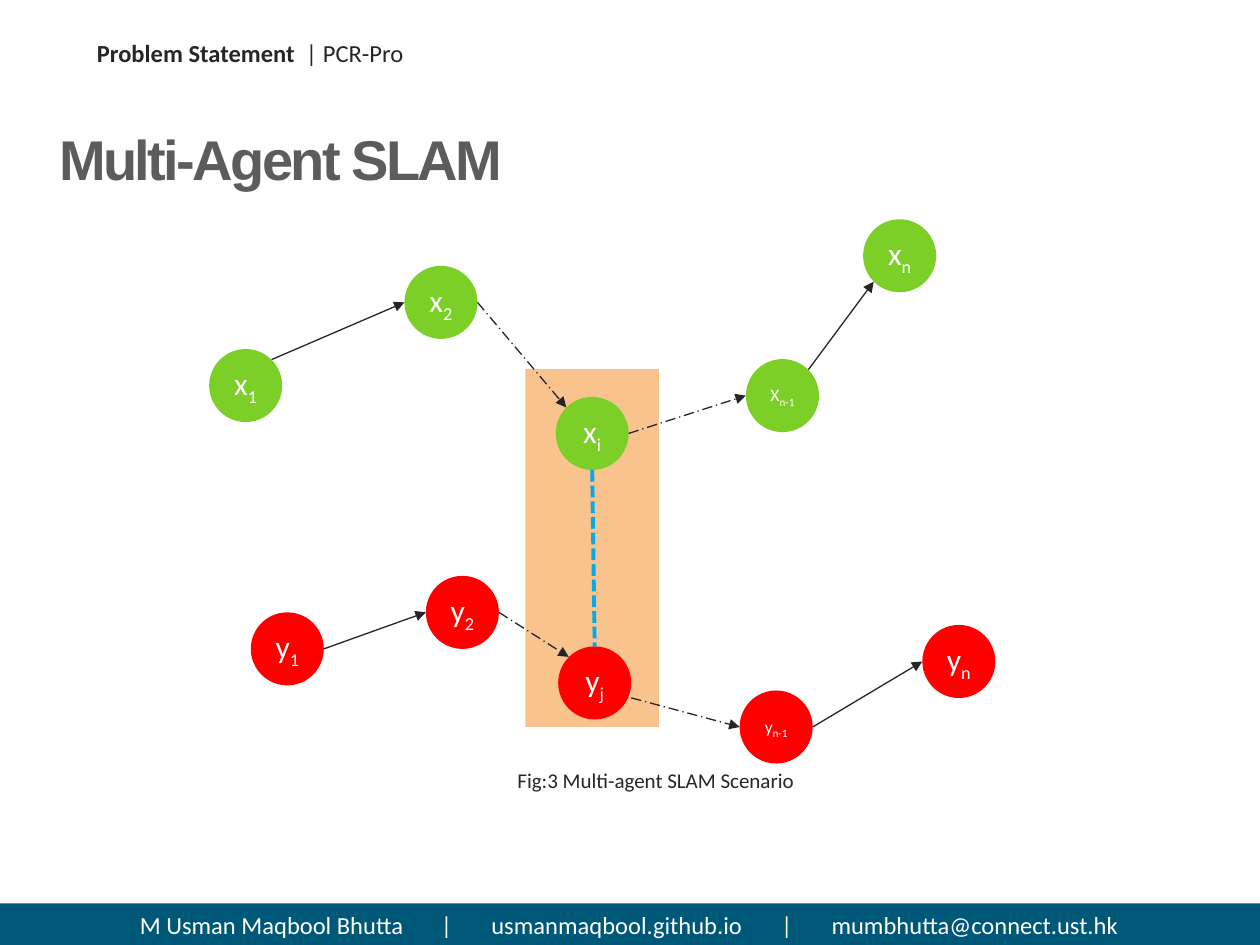
from lxml import etree
from pptx import Presentation
from pptx.dml.color import RGBColor
from pptx.enum.dml import MSO_LINE
from pptx.enum.shapes import MSO_CONNECTOR, MSO_SHAPE
from pptx.enum.text import MSO_ANCHOR, PP_ALIGN
from pptx.oxml.ns import qn
from pptx.util import Inches, Pt

WHITE = RGBColor(0xFF, 0xFF, 0xFF)
GRAY = RGBColor(0x5C, 0x5C, 0x5C)
DARK = RGBColor(0x26, 0x26, 0x26)
ARROW = RGBColor(0x25, 0x25, 0x25)
TEAL = RGBColor(0x00, 0x58, 0x78)
GREEN = RGBColor(0x7B, 0xCF, 0x27)
RED = RGBColor(0xFF, 0x00, 0x00)
ORANGE = RGBColor(0xF4, 0x89, 0x1E)
BLUE = RGBColor(0x00, 0xAC, 0xEB)

NODE = 0.58
DIAGONAL = 0.71

# Poses of each agent: letter, subscript, left, top
GREEN_POSES = [("x", "1", 1.66, 2.77), ("x", "2", 3.21, 2.11),
               ("x", "i", 4.41, 3.15), ("X", "n-1", 5.92, 2.85),
               ("x", "n", 6.85, 1.74)]
RED_POSES = [("y", "1", 1.99, 4.86), ("y", "2", 3.38, 4.57),
             ("y", "j", 4.43, 5.13), ("y", "n-1", 5.87, 5.48),
             ("y", "n", 7.32, 4.96)]

# Points on a node's rim, in radii from its centre
TOP, BOTTOM, LEFT, RIGHT = (0, -1), (0, 1), (-1, 0), (1, 0)
TOP_LEFT, TOP_RIGHT = (-DIAGONAL, -DIAGONAL), (DIAGONAL, -DIAGONAL)
BOTTOM_LEFT = (-DIAGONAL, DIAGONAL)
LOW_RIGHT = (1, 0.41)

# Start and end rim point of each step along a trajectory
GREEN_STEPS = [(TOP_RIGHT, LEFT), (RIGHT, TOP_LEFT),
               (RIGHT, LEFT), (TOP_RIGHT, BOTTOM_LEFT)]
RED_STEPS = [(RIGHT, LEFT), (RIGHT, TOP_LEFT),
             (LOW_RIGHT, LEFT), (RIGHT, LEFT)]


def style_run(r, size, color, bold=False, name="Calibri"):
    r.font.name = name
    r.font.size = Pt(size)
    r.font.bold = bold
    r.font.color.rgb = color


def add_filled(slide, shape_type, x, y, w, h, color):
    sp = slide.shapes.add_shape(shape_type, Inches(x), Inches(y),
                                Inches(w), Inches(h))
    sp.shadow.inherit = False
    sp.fill.solid()
    sp.fill.fore_color.rgb = color
    sp.line.fill.background()
    return sp


def add_text(slide, x, y, w, h, parts, size, align=PP_ALIGN.LEFT, wrap=True):
    box = slide.shapes.add_textbox(Inches(x), Inches(y), Inches(w), Inches(h))
    tf = box.text_frame
    tf.word_wrap = wrap
    p = tf.paragraphs[0]
    p.alignment = align
    for text, bold in parts:
        r = p.add_run()
        r.text = text
        style_run(r, size, DARK, bold)


def add_title(slide, text):
    title = slide.shapes.title
    title.left, title.top = Inches(0.37), Inches(0.59)
    title.width, title.height = Inches(9.09), Inches(0.93)
    tf = title.text_frame
    tf.text = text
    tf.vertical_anchor = MSO_ANCHOR.BOTTOM
    tf.margin_top = tf.margin_bottom = 0
    p = tf.paragraphs[0]
    p.alignment = PP_ALIGN.LEFT
    r = p.runs[0]
    style_run(r, 32, GRAY, True, "Arial")
    r.font._element.set("spc", "-150")


def add_highlight(slide):
    sp = add_filled(slide, MSO_SHAPE.RECTANGLE, 4.17, 2.93, 1.06, 2.84, ORANGE)
    color = sp.fill._xPr.find(qn("a:solidFill"))[0]
    etree.SubElement(color, qn("a:alpha")).set("val", "50000")


def add_footer(slide, parts):
    sp = add_filled(slide, MSO_SHAPE.RECTANGLE, 0, 7.17, 10, 0.34, TEAL)
    tf = sp.text_frame
    tf.margin_left = Inches(1.11)
    tf.vertical_anchor = MSO_ANCHOR.MIDDLE
    p = tf.paragraphs[0]
    p.text = "\t|\t".join(parts)
    p.alignment = PP_ALIGN.LEFT
    tabs = etree.SubElement(p._p.get_or_add_pPr(), qn("a:tabLst"))
    for position in (2.39, 2.79, 5.09, 5.49):
        tab = etree.SubElement(tabs, qn("a:tab"))
        tab.set("pos", str(Inches(position)))
        tab.set("algn", "l")
    for r in p.runs:
        style_run(r, 14, WHITE)


def add_node(slide, letter, subscript, x, y, color):
    sp = add_filled(slide, MSO_SHAPE.OVAL, x, y, NODE, NODE, color)
    tf = sp.text_frame
    tf.word_wrap = False
    tf.vertical_anchor = MSO_ANCHOR.MIDDLE
    p = tf.paragraphs[0]
    p.alignment = PP_ALIGN.CENTER
    sizes = (10, 11) if len(subscript) > 1 else (18, 18)
    for text, size in zip((letter, subscript), sizes):
        r = p.add_run()
        r.text = text
        style_run(r, size, WHITE)
    r.font._element.set("baseline", "-25000")


def rim_point(pose, direction):
    radius = NODE / 2
    return [Inches(corner + radius + radius * d)
            for corner, d in zip(pose[2:], direction)]


def add_link(slide, start, end, color, width, dash=None, arrow=True):
    line = slide.shapes.add_connector(MSO_CONNECTOR.STRAIGHT, *start, *end)
    line.line.color.rgb = color
    line.line.width = Pt(width)
    if dash:
        line.line.dash_style = dash
    if arrow:
        ln = line.line._get_or_add_ln()
        etree.SubElement(ln, qn("a:tailEnd")).set("type", "triangle")
    etree.SubElement(line._element.spPr, qn("a:effectLst"))


def add_trajectory(slide, poses, steps, color):
    for pose in poses:
        add_node(slide, *pose, color)
    # The two middle steps stand for omitted poses
    for i, (leave, arrive) in enumerate(steps):
        dash = MSO_LINE.LONG_DASH_DOT if i in (1, 2) else None
        add_link(slide, rim_point(poses[i], leave),
                 rim_point(poses[i + 1], arrive), ARROW, 0.75, dash)


def main():
    prs = Presentation()
    prs.slide_width, prs.slide_height = Inches(10), Inches(7.5)
    slide = prs.slides.add_slide(prs.slide_layouts[5])

    # Heading and footer
    add_highlight(slide)
    add_title(slide, "Multi-Agent SLAM")
    add_text(slide, 0.67, 0.25, 2.65, 0.34,
             [("Problem Statement ", True), (" | PCR-Pro", False)], 14,
             wrap=False)
    add_footer(slide, ["M Usman Maqbool Bhutta", "usmanmaqbool.github.io",
                       "mumbhutta@connect.ust.hk"])

    # Both agents and the link between their matching poses
    add_trajectory(slide, GREEN_POSES, GREEN_STEPS, GREEN)
    add_trajectory(slide, RED_POSES, RED_STEPS, RED)
    add_link(slide, rim_point(GREEN_POSES[2], BOTTOM),
             rim_point(RED_POSES[2], TOP), BLUE, 2.25,
             MSO_LINE.SQUARE_DOT, arrow=False)

    # Caption
    add_text(slide, 1.57, 6.04, 7.27, 0.3,
             [("Fig:3 Multi-agent SLAM Scenario", False)], 12,
             PP_ALIGN.CENTER)
    prs.save("out.pptx")


if __name__ == "__main__":
    main()
